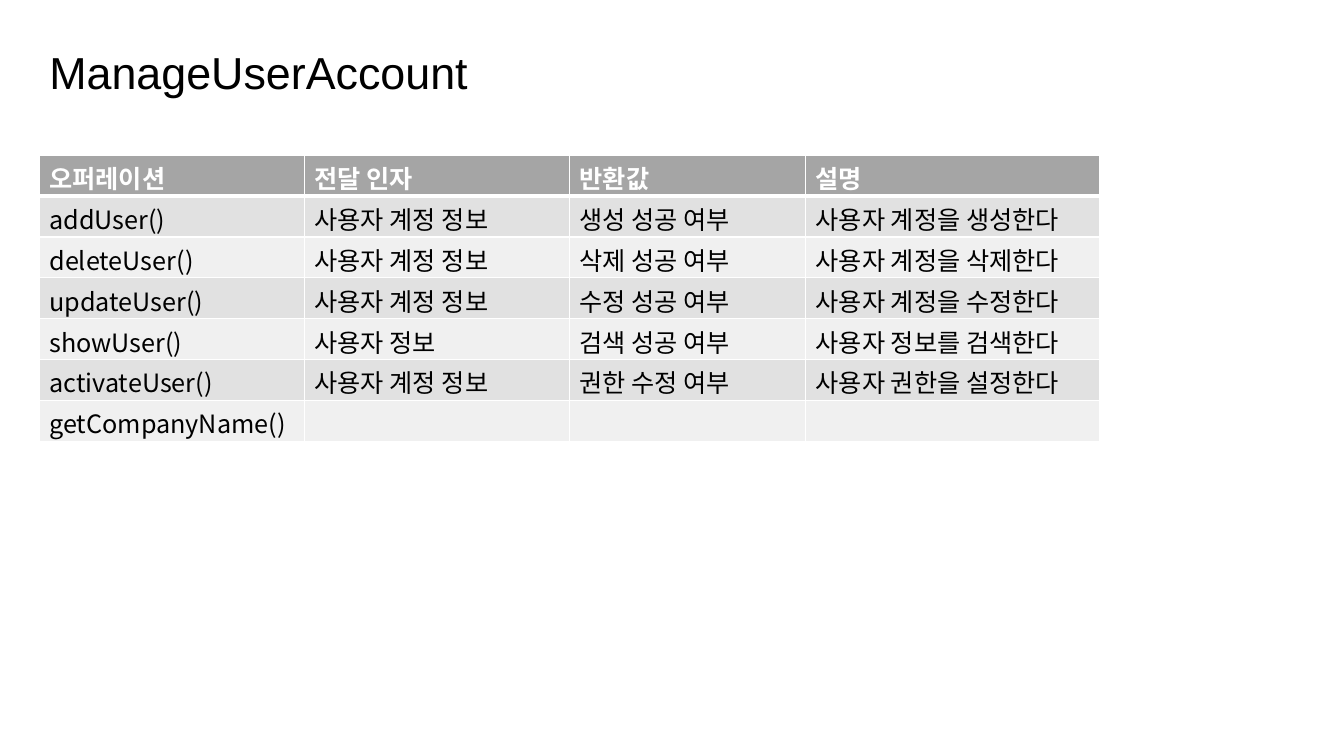
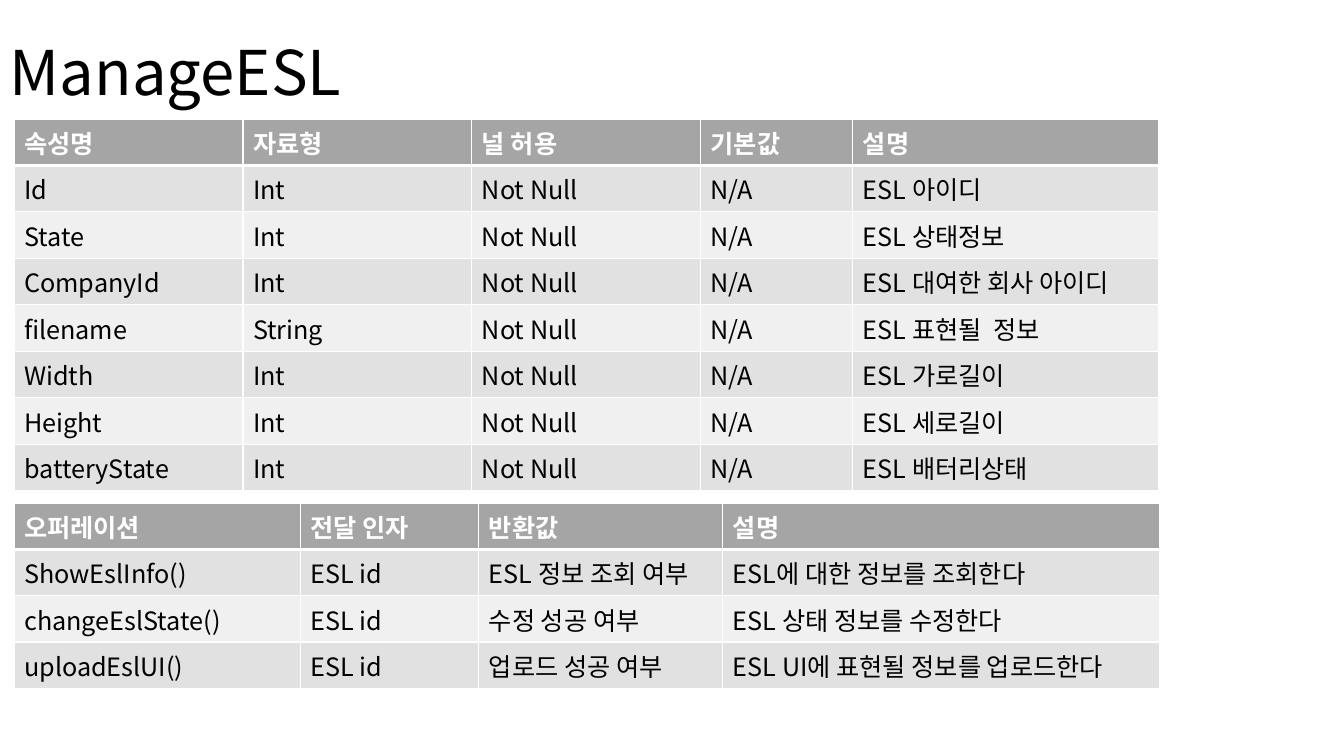
from lxml.etree import SubElement
from pptx import Presentation
from pptx.dml.color import RGBColor
from pptx.enum.text import MSO_ANCHOR
from pptx.oxml.ns import qn
from pptx.util import Inches, Pt

BLACK = RGBColor(0x00, 0x00, 0x00)
WHITE = RGBColor(0xFF, 0xFF, 0xFF)
HEADER_GRAY = RGBColor(0xA5, 0xA5, 0xA5)
BAND_GRAYS = (RGBColor(0xE1, 0xE1, 0xE1), RGBColor(0xF0, 0xF0, 0xF0))
BODY_FONT = "Noto Sans CJK KR"
TITLE_FONT = "Arial"
OPERATION_HEADER = ("오퍼레이션", "전달 인자", "반환값", "설명")

ACCOUNT_OPERATIONS = [
    OPERATION_HEADER,
    ("addUser()", "사용자 계정 정보", "생성 성공 여부", "사용자 계정을 생성한다"),
    ("deleteUser()", "사용자 계정 정보", "삭제 성공 여부", "사용자 계정을 삭제한다"),
    ("updateUser()", "사용자 계정 정보", "수정 성공 여부", "사용자 계정을 수정한다"),
    ("showUser()", "사용자 정보", "검색 성공 여부", "사용자 정보를 검색한다"),
    ("activateUser()", "사용자 계정 정보", "권한 수정 여부", "사용자 권한을 설정한다"),
    ("getCompanyName()", "", "", ""),
]
ESL_FIELDS = [
    ("Id", "Int", "ESL 아이디"),
    ("State", "Int", "ESL 상태정보"),
    ("CompanyId", "Int", "ESL 대여한 회사 아이디"),
    ("filename", "String", "ESL 표현될  정보"),
    ("Width", "Int", "ESL 가로길이"),
    ("Height", "Int", "ESL 세로길이"),
    ("batteryState", "Int", "ESL 배터리상태"),
]
ESL_ATTRIBUTES = [("속성명", "자료형", "널 허용", "기본값", "설명")] + [
    (field, kind, "Not Null", "N/A", meaning) for field, kind, meaning in ESL_FIELDS
]
ESL_OPERATIONS = [
    OPERATION_HEADER,
    ("ShowEslInfo()", "ESL id", "ESL 정보 조회 여부", "ESL에 대한 정보를 조회한다"),
    ("changeEslState()", "ESL id", "수정 성공 여부", "ESL 상태 정보를 수정한다"),
    ("uploadEslUI()", "ESL id", "업로드 성공 여부", "ESL UI에 표현될 정보를 업로드한다"),
]


def add_run(paragraph, wording, size, color, font=BODY_FONT, bold=False):
    """Add one run, with its font set for Latin and Korean letters."""
    run = paragraph.add_run()
    run.text = wording
    run.font.name = font
    run.font.size = Pt(size)
    run.font.bold = bold
    run.font.color.rgb = color
    SubElement(run.font._element, qn("a:ea"), typeface=font)


def add_title(slide, box, wording, size, font=BODY_FONT, spacing=1.0):
    """Place a slide title, vertically centred in its box."""
    frame = slide.shapes.add_textbox(*map(Inches, box)).text_frame
    frame.word_wrap = True
    frame.vertical_anchor = MSO_ANCHOR.MIDDLE
    heading = frame.paragraphs[0]
    heading.line_spacing = spacing
    add_run(heading, wording, size, BLACK, font)


def add_borders(cell, top, bottom):
    """Draw white borders around a cell, with widths in points."""
    properties = cell._tc.get_or_add_tcPr()
    for side, width in (("L", 1), ("R", 1), ("T", top), ("B", bottom)):
        border = SubElement(properties, qn(f"a:ln{side}"), w=str(Pt(width)))
        paint = SubElement(border, qn("a:solidFill"))
        SubElement(paint, qn("a:srgbClr"), val=str(WHITE))


def add_spec_table(slide, box, column_widths, rows, margins=(0.05, 0.05)):
    """Place a banded table whose equal rows fill the box."""
    table = slide.shapes.add_table(len(rows), len(column_widths), *map(Inches, box)).table
    for column, width in zip(table.columns, column_widths):
        column.width = Inches(width)
    for index, entries in enumerate(rows):
        is_header = index == 0
        table.rows[index].height = Inches(box[3] / len(rows))
        for position, entry in enumerate(entries):
            cell = table.cell(index, position)
            cell.margin_top, cell.margin_bottom = map(Inches, margins)
            add_borders(cell, 3 if index == 1 else 1, 3 if is_header else 1)
            cell.fill.solid()
            cell.fill.fore_color.rgb = HEADER_GRAY if is_header else BAND_GRAYS[(index - 1) % 2]
            if entry:
                add_run(cell.text_frame.paragraphs[0], entry, 18,
                        WHITE if is_header else BLACK, bold=is_header)


def build_account_slide(slide):
    """Show the operations of ManageUserAccount."""
    add_title(slide, (0.39, 0.39, 4.58, 0.64), "ManageUserAccount", 32, TITLE_FONT)
    add_spec_table(slide, (0.39, 1.54, 10.53, 2.84), (2.63, 2.63, 2.34, 2.92),
                   ACCOUNT_OPERATIONS, margins=(0.04, 0))


def build_esl_slide(slide):
    """Show the attributes and operations of ManageESL."""
    add_title(slide, (0, 0.02, 11.5, 1.45), "ManageESL", 44, spacing=0.9)
    add_spec_table(slide, (0.14, 1.18, 11.36, 3.69), (2.27, 2.27, 2.27, 1.51, 3.03),
                   ESL_ATTRIBUTES)
    add_spec_table(slide, (0.14, 4.99, 11.36, 1.84), (2.84, 1.77, 2.42, 4.33),
                   ESL_OPERATIONS)


def main():
    """Build and save the presentation."""
    deck = Presentation()
    deck.slide_width, deck.slide_height = Inches(13.33), Inches(7.5)
    for build in (build_account_slide, build_esl_slide):
        build(deck.slides.add_slide(deck.slide_layouts[6]))
    deck.save("out.pptx")


main()
